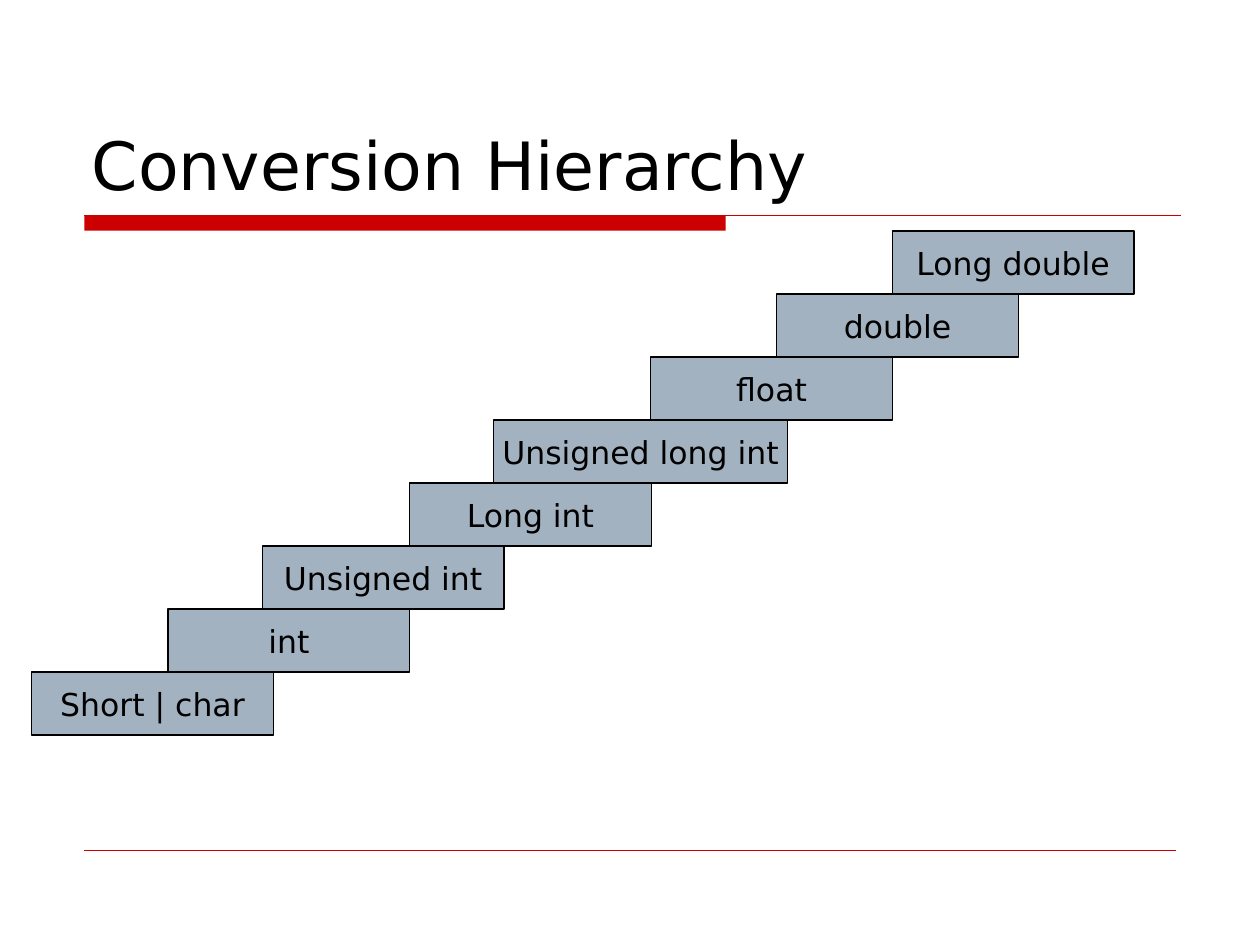
from pptx import Presentation
from pptx.dml.color import RGBColor
from pptx.enum.shapes import MSO_CONNECTOR, MSO_SHAPE
from pptx.enum.text import MSO_ANCHOR, PP_ALIGN
from pptx.oxml.ns import qn
from pptx.util import Cm, Pt
from lxml.etree import SubElement

HUES = {"ink": "000000", "red": "CC0000", "step": "A3B2C1"}
FONT = "DejaVu Sans"


def hue(name):
    return RGBColor.from_string(HUES[name])


def write(frame, text, size=18, color="ink", align=PP_ALIGN.LEFT,
          anchor=MSO_ANCHOR.MIDDLE, wrap=False):
    frame.word_wrap = wrap
    frame.vertical_anchor = anchor
    para = frame.paragraphs[0]
    para.alignment = align
    run = para.add_run()
    run.text = text
    run.font.name = FONT
    run.font.size = Pt(size)
    run.font.color.rgb = hue(color)


class Deck:
    def __init__(self, wide, high):
        self.show = Presentation()
        self.show.slide_width = Cm(wide)
        self.show.slide_height = Cm(high)
        self.slide = self.show.slides.add_slide(self.show.slide_layouts[6])

    def title(self, text, *area):
        box = self.slide.shapes.add_textbox(*map(Cm, area))
        write(box.text_frame, text, size=38, anchor=MSO_ANCHOR.BOTTOM, wrap=True)

    def rect(self, *area, fill, edge=None):
        box = self.slide.shapes.add_shape(MSO_SHAPE.RECTANGLE, *map(Cm, area))
        box.shadow.inherit = False
        box.fill.solid()
        box.fill.fore_color.rgb = hue(fill)
        if edge:
            box.line.color.rgb = hue(edge)
            box.line.width = Pt(0.75)
        else:
            box.line.fill.background()
        return box

    def step(self, text, *area):
        box = self.rect(*area, fill="step", edge="ink")
        write(box.text_frame, text, align=PP_ALIGN.CENTER)

    def rule(self, left, right, top, width):
        line = self.slide.shapes.add_connector(
            MSO_CONNECTOR.STRAIGHT, Cm(left), Cm(top), Cm(right), Cm(top))
        line.line.color.rgb = hue("red")
        line.line.width = Pt(width)
        SubElement(line._element.spPr, qn("a:effectLst"))


def main():
    deck = Deck(25.4, 19.05)
    deck.rect(1.7, 4.34, 12.93, 0.31, fill="red")
    deck.rule(1.7, 23.8, 4.34, 0.75)
    deck.rule(1.7, 23.7, 17.15, 0.25)
    deck.title("Conversion Hierarchy", 1.6, 0.85, 22.23, 3.39)

    top, high, wide = 4.66, 1.27, 4.87
    steps = [
        ("Long double", 17.99, wide),
        ("double", 15.66, wide),
        ("float", 13.12, wide),
        ("Unsigned long int", 9.95, 5.93),
        ("Long int", 8.26, wide),
        ("Unsigned int", 5.29, wide),
        ("int", 3.39, wide),
        ("Short | char", 0.64, wide),
    ]
    for rank, (text, left, span) in enumerate(steps):
        deck.step(text, left, top + rank * high, span, high)
    deck.show.save("out.pptx")


if __name__ == "__main__":
    main()
